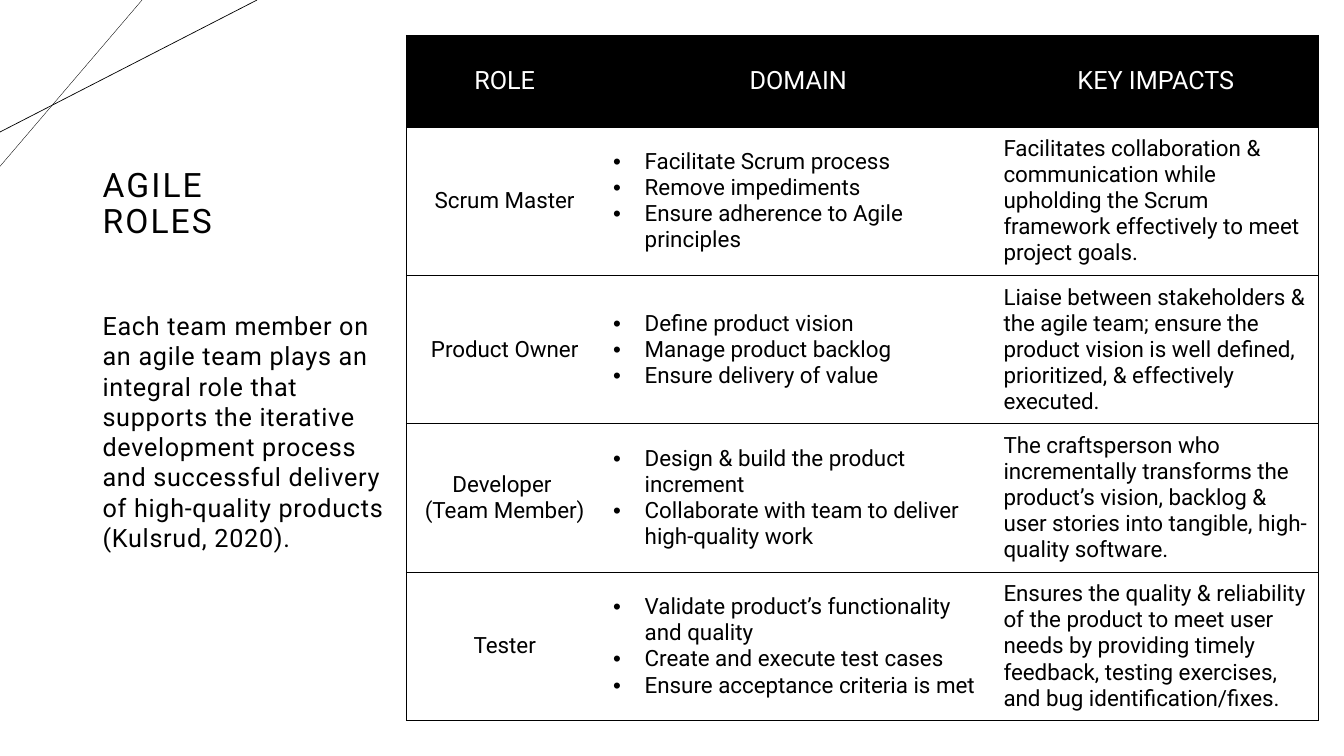
from lxml.etree import SubElement
from pptx import Presentation
from pptx.dml.color import RGBColor
from pptx.enum.shapes import MSO_CONNECTOR
from pptx.enum.text import MSO_ANCHOR, PP_ALIGN
from pptx.oxml.ns import qn
from pptx.util import Pt

COLORS = {"ink": "000000", "paper": "FFFFFF"}
FONT = "Roboto"
BORDER_WIDTH = 0.5
BULLET_INDENT = 22.5

HEADERS = ["ROLE", "DOMAIN", "KEY IMPACTS"]
ROLES = [
    ("Scrum Master",
     ["Facilitate Scrum process", "Remove impediments",
      "Ensure adherence to Agile principles"],
     "Facilitates collaboration & communication while upholding the Scrum "
     "framework effectively to meet project goals."),
    ("Product Owner",
     ["Define product vision", "Manage product backlog",
      "Ensure delivery of value"],
     "Liaise between stakeholders & the agile team; ensure the product vision "
     "is well defined, prioritized, & effectively executed."),
    ("Developer \v(Team Member)",
     ["Design & build the product increment",
      "Collaborate with team to deliver high-quality work"],
     "The craftsperson who incrementally transforms the product’s vision, "
     "backlog & user stories into tangible, high-quality software."),
    ("Tester",
     ["Validate product’s functionality and quality",
      "Create and execute test cases", "Ensure acceptance criteria is met"],
     "Ensures the quality & reliability of the product to meet user needs by "
     "providing timely feedback, testing exercises, and bug "
     "identification/fixes."),
]
SUMMARY = ("Each team member on an agile team plays an integral role that "
           "supports the iterative development process and successful delivery "
           "of high-quality products (Kulsrud, 2020).")


def color(name):
    return RGBColor.from_string(COLORS[name])


def style(para, size, ink="ink", spacing=0):
    para.font.name = FONT
    para.font.size = Pt(size)
    para.font.color.rgb = color(ink)
    if spacing:
        para._p.pPr.find(qn("a:defRPr")).set("spc", str(round(spacing * 100)))


def add_bullet(para):
    properties = para._p.get_or_add_pPr()
    properties.set("marL", str(Pt(BULLET_INDENT)))
    properties.set("indent", str(-Pt(BULLET_INDENT)))
    SubElement(properties, qn("a:buFont")).set("typeface", "Arial")
    SubElement(properties, qn("a:buChar")).set("char", "•")


def set_borders(cell, first, last):
    """Rule every row, and close the table at its outer sides."""
    shown = {"a:lnL": first, "a:lnR": last, "a:lnT": True, "a:lnB": True}
    properties = cell._tc.get_or_add_tcPr()
    for tag, visible in shown.items():
        line = SubElement(properties, qn(tag))
        if visible:
            line.set("w", str(Pt(BORDER_WIDTH)))
            fill = SubElement(line, qn("a:solidFill"))
            SubElement(fill, qn("a:srgbClr")).set("val", COLORS["ink"])
        else:
            SubElement(line, qn("a:noFill"))


def add_corner_lines(page, left, top):
    for across, down, width in [(101.5, 118.8, 0.25), (183.6, 94.3, 0.5)]:
        line = page.shapes.add_connector(
            MSO_CONNECTOR.STRAIGHT,
            Pt(left + across), Pt(top), Pt(left), Pt(top + down))
        line.line.color.rgb = color("ink")
        line.line.width = Pt(width)
        SubElement(line._element.spPr, qn("a:effectLst"))


def add_text(page, left, top, width, height, text, size, spacing):
    box = page.shapes.add_textbox(Pt(left), Pt(top), Pt(width), Pt(height))
    frame = box.text_frame
    frame.word_wrap = True
    para = frame.paragraphs[0]
    para.text = text
    style(para, size, spacing=spacing)
    return frame


def add_intro(page, left, top):
    """Title above, summary below."""
    title_height = 151.2
    title = add_text(page, left, top, 255.6, title_height,
                     "AGILE\vROLES", 24, 1.5)
    title.vertical_anchor = MSO_ANCHOR.MIDDLE
    title.paragraphs[0].line_spacing = 0.9
    summary = add_text(page, left, top + title_height, 224.6, 254.9,
                       SUMMARY, 18, 0.5)
    summary.margin_top = 0


def fill_cell(cell, content, size, ink="ink", centered=False):
    bulleted = isinstance(content, list)
    lines = content if bulleted else [content]
    cell.vertical_anchor = MSO_ANCHOR.MIDDLE
    frame = cell.text_frame
    for index, text in enumerate(lines):
        para = frame.add_paragraph() if index else frame.paragraphs[0]
        para.text = text
        para.alignment = PP_ALIGN.CENTER if centered else PP_ALIGN.LEFT
        if bulleted:
            add_bullet(para)
        style(para, size, ink)


def add_role_table(page, left, top):
    widths = [140.6, 278.8, 232]
    heights = [65.5] + [106] * len(ROLES)
    table = page.shapes.add_table(
        len(heights), len(widths), Pt(left), Pt(top),
        Pt(sum(widths)), Pt(sum(heights))).table
    table.first_row = False
    table.horz_banding = False
    for column, width in zip(table.columns, widths):
        column.width = Pt(width)
    for row, height in zip(table.rows, heights):
        row.height = Pt(height)

    for row_index, contents in enumerate([HEADERS, *ROLES]):
        header = row_index == 0
        for column_index, content in enumerate(contents):
            cell = table.cell(row_index, column_index)
            set_borders(cell, column_index == 0,
                        column_index == len(widths) - 1)
            cell.fill.solid()
            cell.fill.fore_color.rgb = color("ink" if header else "paper")
            fill_cell(cell, content, 18 if header else 16,
                      "paper" if header else "ink",
                      centered=header or column_index == 0)


def main():
    deck = Presentation()
    deck.slide_width, deck.slide_height = Pt(960), Pt(540)
    page = deck.slides.add_slide(deck.slide_layouts[6])
    add_corner_lines(page, 0, 0)
    add_intro(page, 66.2, 70.6)
    add_role_table(page, 290.2, 25.2)
    deck.save("out.pptx")


if __name__ == "__main__":
    main()
